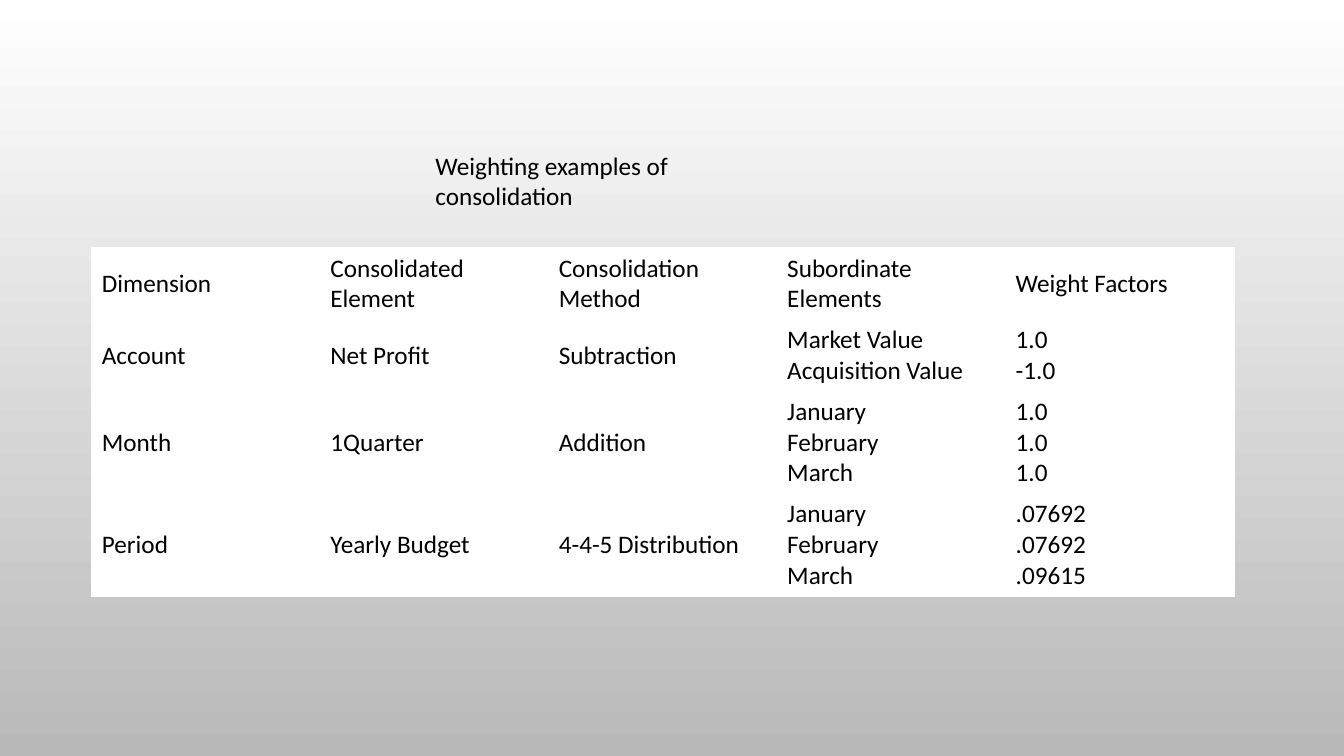
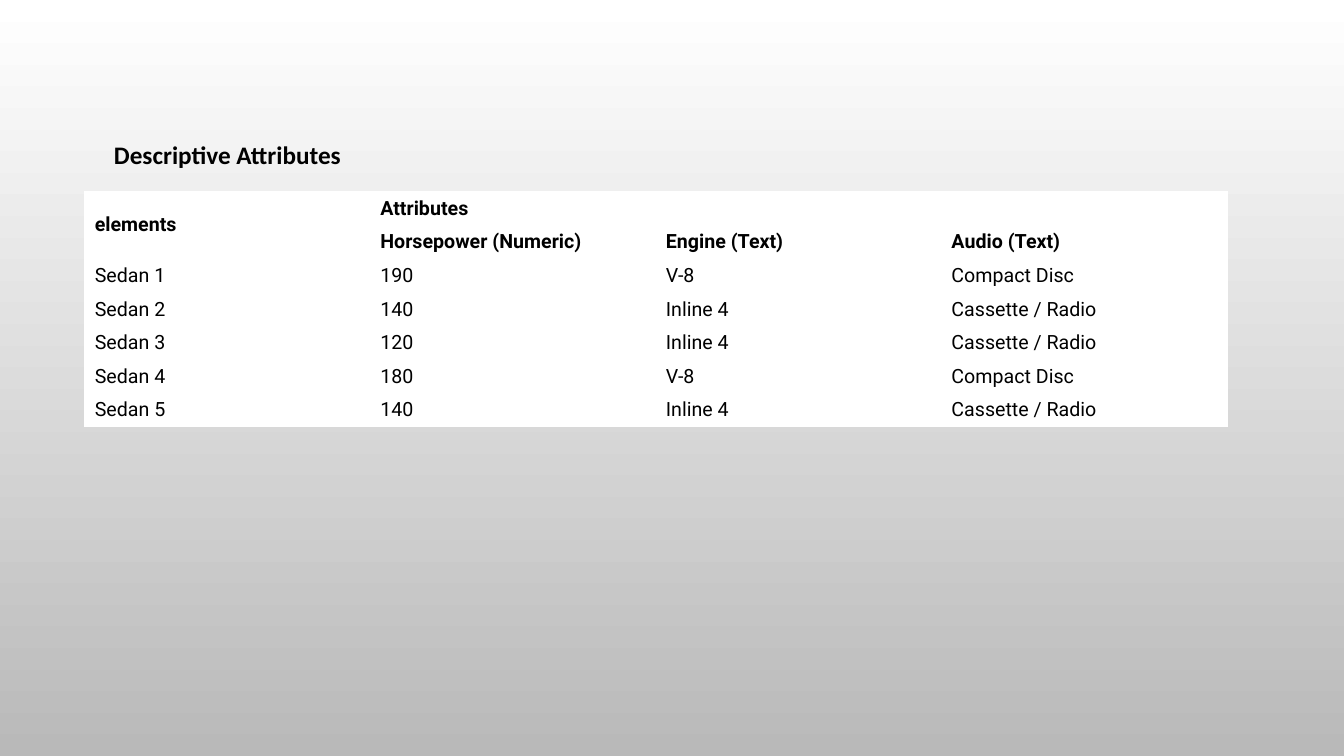
from dataclasses import dataclass

from lxml import etree
from pptx import Presentation
from pptx.dml.color import RGBColor
from pptx.enum.text import MSO_ANCHOR, MSO_AUTO_SIZE, PP_ALIGN
from pptx.oxml.ns import qn
from pptx.presentation import Presentation as Deck
from pptx.slide import Slide
from pptx.table import _Cell
from pptx.text.text import TextFrame
from pptx.util import Inches, Pt

MIDDLE, TOP = MSO_ANCHOR.MIDDLE, MSO_ANCHOR.TOP
LEFT = PP_ALIGN.LEFT
NO_AUTOFIT = MSO_AUTO_SIZE.NONE

SLIDE_WIDTH, SLIDE_HEIGHT = Inches(13.33), Inches(7.5)
TITLE_ONLY_LAYOUT = 5
COLORS = {"text": "000000", "cell": "FFFFFF", "top": "FFFFFF", "bottom": "B9B9B9"}
DOWNWARD = 270
CELL_PADDING = Inches(0.1)
LINE_SPACING = 1.2
TITLE_FRAME = {"word_wrap": True, "auto_size": NO_AUTOFIT, "vertical_anchor": TOP}
TITLE_FONT = {"name": "Calibri", "size": Pt(18)}


@dataclass(frozen=True)
class Area:
    """A rectangle in percent of the slide's width and height."""
    left: float
    top: float
    width: float
    height: float = 0

    def lengths(self) -> tuple[int, int, int, int]:
        return (int(SLIDE_WIDTH * self.left / 100), int(SLIDE_HEIGHT * self.top / 100),
                int(SLIDE_WIDTH * self.width / 100), int(SLIDE_HEIGHT * self.height / 100))


@dataclass(frozen=True)
class TablePage:
    title: str
    title_area: Area
    title_bold: bool
    table_area: Area
    font_name: str
    font_size: int
    rows: list[list[str]]
    bold_rows: int = 0
    merged_header_rows: int = 1


MONTHS = "January\nFebruary\nMarch"

PAGES = [
    TablePage(
        title="Weighting examples of consolidation",
        title_area=Area(31.65, 19.2, 28.5, 9.47),
        title_bold=False,
        table_area=Area(6.83, 32.8, 85),
        font_name="Calibri",
        font_size=18,
        rows=[
            ["Dimension", "Consolidated Element", "Consolidation Method",
             "Subordinate Elements", "Weight Factors"],
            ["Account", "Net Profit", "Subtraction",
             "Market Value\nAcquisition Value", "1.0\n-1.0"],
            ["Month", "1Quarter", "Addition", MONTHS, "1.0\n1.0\n1.0"],
            ["Period", "Yearly Budget", "4-4-5 Distribution", MONTHS,
             ".07692\n.07692\n.09615"],
        ],
    ),
    TablePage(
        title="Descriptive Attributes",
        title_area=Area(7.73, 17.73, 38.63, 5.33),
        title_bold=True,
        table_area=Area(6.3, 25.33, 85),
        font_name="Roboto",
        font_size=14,
        rows=[
            ["elements", "Attributes", "", ""],
            ["", "Horsepower (Numeric)", "Engine (Text)", "Audio (Text)"],
            ["Sedan 1", "190", "V-8", "Compact Disc"],
            ["Sedan 2", "140", "Inline 4", "Cassette / Radio"],
            ["Sedan 3", "120", "Inline 4", "Cassette / Radio"],
            ["Sedan 4", "180", "V-8", "Compact Disc"],
            ["Sedan 5", "140", "Inline 4", "Cassette / Radio"],
        ],
        bold_rows=2,
        merged_header_rows=2,
    ),
]


def color(role: str) -> RGBColor:
    return RGBColor.from_string(COLORS[role])


def apply(target: object, formats: dict) -> None:
    for attribute, value in formats.items():
        setattr(target, attribute, value)


def format_text(frame: TextFrame, font: dict) -> None:
    for paragraph in frame.paragraphs:
        paragraph.alignment = LEFT
        for run in paragraph.runs:
            apply(run.font, font)
            run.font.color.rgb = color("text")
        if not paragraph.runs:
            # The end mark sets the line height of an empty cell.
            end_mark = etree.SubElement(paragraph._p, qn("a:endParaRPr"))
            end_mark.set("sz", str(int(font["size"].pt * 100)))


def set_background(deck: Deck) -> None:
    fill = deck.slide_master.background.fill
    fill.gradient()
    fill.gradient_angle = DOWNWARD
    for stop, role in zip(fill.gradient_stops, ("top", "bottom")):
        stop.color.rgb = color(role)


def add_title(slide: Slide, page: TablePage) -> None:
    title = slide.shapes.title
    title.left, title.top, title.width, title.height = page.title_area.lengths()
    title.text_frame.text = page.title
    apply(title.text_frame, TITLE_FRAME)
    format_text(title.text_frame, TITLE_FONT | {"bold": page.title_bold})


def fill_cell(cell: _Cell, text: str, font: dict) -> None:
    cell.text = text
    cell.vertical_anchor = MIDDLE
    cell.fill.solid()
    cell.fill.fore_color.rgb = color("cell")
    format_text(cell.text_frame, font)


def row_height(texts: list[str], font_size: int, wraps: bool) -> int:
    lines = max(text.count("\n") + 1 for text in texts)
    if wraps:
        lines += 1
    return int(CELL_PADDING + lines * Pt(font_size) * LINE_SPACING)


def add_data_table(slide: Slide, page: TablePage) -> None:
    column_count = len(page.rows[0])
    heights = [row_height(texts, page.font_size, index == 0 and not page.bold_rows)
               for index, texts in enumerate(page.rows)]
    left, top, width, _ = page.table_area.lengths()
    table = slide.shapes.add_table(
        len(page.rows), column_count, left, top, width, sum(heights)).table
    apply(table, {"first_row": False, "horz_banding": False})
    for row_index, texts in enumerate(page.rows):
        table.rows[row_index].height = heights[row_index]
        font = {"name": page.font_name, "size": Pt(page.font_size),
                "bold": row_index < page.bold_rows}
        for column_index, text in enumerate(texts):
            fill_cell(table.cell(row_index, column_index), text, font)
    if page.merged_header_rows > 1:
        table.cell(0, 0).merge(table.cell(page.merged_header_rows - 1, 0))


def main() -> None:
    deck = Presentation()
    apply(deck, {"slide_width": SLIDE_WIDTH, "slide_height": SLIDE_HEIGHT})
    set_background(deck)
    for page in PAGES:
        slide = deck.slides.add_slide(deck.slide_layouts[TITLE_ONLY_LAYOUT])
        add_data_table(slide, page)
        add_title(slide, page)
    deck.save("out.pptx")


if __name__ == "__main__":
    main()
